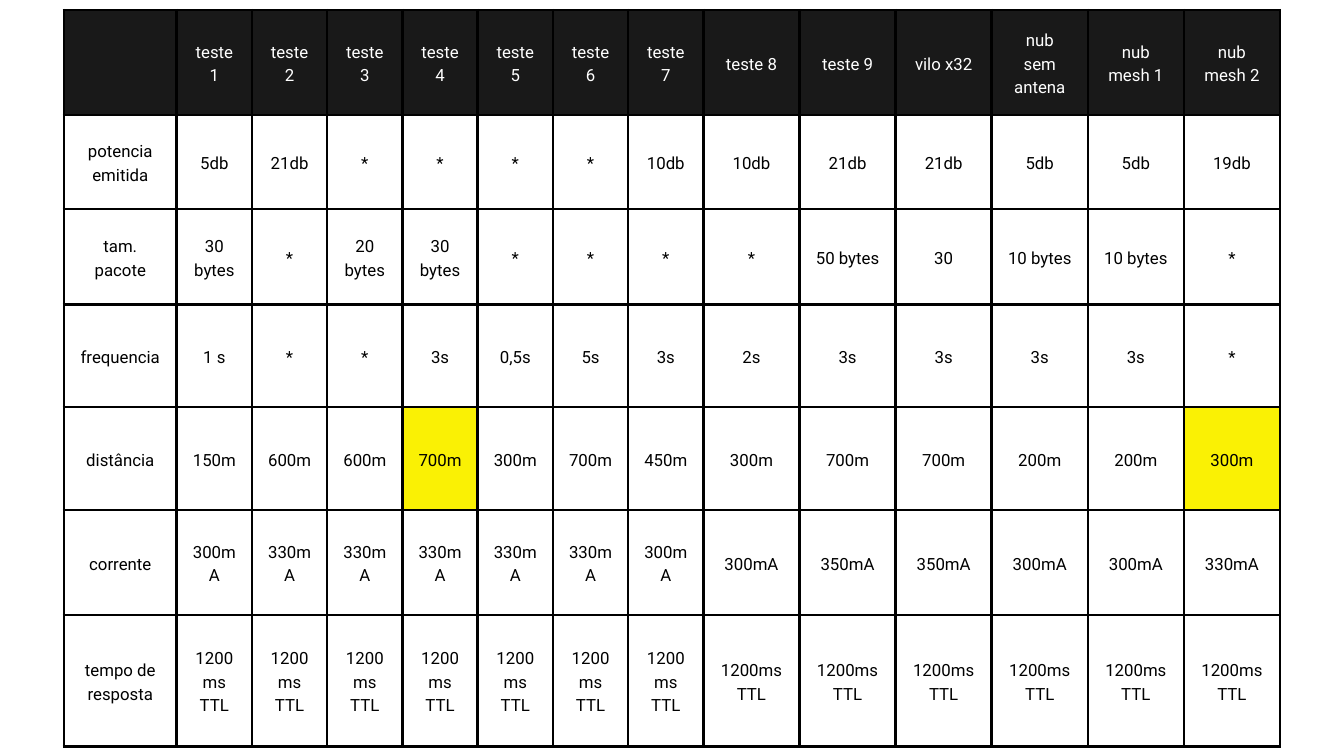
"""Build a one-slide table of radio test results."""
import lxml.etree
import pptx
import pptx.dml.color
import pptx.enum.text
import pptx.oxml.ns
import pptx.util

Inches = pptx.util.Inches
Pt = pptx.util.Pt

COLORS = {"header": "191919", "header_text": "FFFFFF", "text": "000000",
          "border": "000000", "highlight": "FAF104"}

TTL = "1200ms\nTTL"
RESULTS = [
    ["", "teste 1", "teste 2", "teste 3", "teste 4", "teste 5", "teste 6", "teste 7",
     "teste 8", "teste 9", "vilo x32", "nub\nsem antena", "nub mesh 1", "nub mesh 2"],
    ["potencia\nemitida", "5db", "21db", "*", "*", "*", "*", "10db",
     "10db", "21db", "21db", "5db", "5db", "19db"],
    ["tam.\npacote", "30 bytes", "*", "20 bytes", "30 bytes", "*", "*", "*",
     "*", "50 bytes", "30", "10 bytes", "10 bytes", "*"],
    ["frequencia", "1 s", "*", "*", "3s", "0,5s", "5s", "3s",
     "2s", "3s", "3s", "3s", "3s", "*"],
    ["distância", "150m", "600m", "600m", "700m", "300m", "700m", "450m",
     "300m", "700m", "700m", "200m", "200m", "300m"],
    ["corrente", "300mA", "330mA", "330mA", "330mA", "330mA", "330mA", "300mA",
     "300mA", "350mA", "350mA", "300mA", "300mA", "330mA"],
    ["tempo de resposta", "1200 ms TTL", "1200ms TTL"] + [TTL] * 11,
]
HIGHLIGHTS = {(4, 4), (4, 13)}

COLUMN_WIDTHS = [1.68] + [1.12] * 7 + [1.43] * 6
ROW_HEIGHTS = [1.56, 1.4, 1.42, 1.53, 1.53, 1.56, 1.96]
LEFT, TOP = 0.95, 0.15

CELL_FORMAT = {"vertical_anchor": pptx.enum.text.MSO_ANCHOR.MIDDLE,
               "margin_left": Inches(0.21), "margin_right": Inches(0.21),
               "margin_top": Inches(0.21), "margin_bottom": Inches(0.21)}
PARAGRAPH_FORMAT = {"alignment": pptx.enum.text.PP_ALIGN.CENTER, "line_spacing": Pt(25.2)}
FONT_FORMAT = {"name": "Roboto", "size": Pt(18)}


def apply_format(target, values):
    """Set each named value on the target."""
    for name, value in values.items():
        setattr(target, name, value)


def rgb(name):
    """Return the named colour."""
    return pptx.dml.color.RGBColor.from_string(COLORS[name])


def fill_cell(cell, name):
    """Fill the cell with the named colour, or clear it."""
    if name:
        cell.fill.solid()
        cell.fill.fore_color.rgb = rgb(name)
    else:
        cell.fill.background()


def add_borders(cell):
    """Draw a solid line on all four sides of the cell."""
    qn = pptx.oxml.ns.qn
    properties = cell._tc.get_or_add_tcPr()
    for position, side in enumerate(("a:lnL", "a:lnR", "a:lnT", "a:lnB")):
        line = lxml.etree.Element(qn(side), w=str(Pt(3)))
        solid = lxml.etree.SubElement(line, qn("a:solidFill"))
        lxml.etree.SubElement(solid, qn("a:srgbClr"), val=COLORS["border"])
        properties.insert(position, line)


def write_cell(cell, content, text_color):
    """Write the content and format the cell and its text."""
    apply_format(cell, CELL_FORMAT)
    cell.text_frame.text = content
    for paragraph in cell.text_frame.paragraphs:
        apply_format(paragraph, PARAGRAPH_FORMAT)
        for run in paragraph.runs:
            apply_format(run.font, FONT_FORMAT)
            run.font.color.rgb = rgb(text_color)


def main():
    """Build and save the slide."""
    deck = pptx.Presentation()
    apply_format(deck, {"slide_width": Inches(20), "slide_height": Inches(11.25)})
    slide = deck.slides.add_slide(deck.slide_layouts[6])
    results = slide.shapes.add_table(
        len(ROW_HEIGHTS), len(COLUMN_WIDTHS), Inches(LEFT), Inches(TOP),
        Inches(sum(COLUMN_WIDTHS)), Inches(sum(ROW_HEIGHTS))).table
    for column, width in zip(results.columns, COLUMN_WIDTHS):
        column.width = Inches(width)
    for row, height in zip(results.rows, ROW_HEIGHTS):
        row.height = Inches(height)
    apply_format(results, {"first_row": False, "horz_banding": False})

    for row_index, contents in enumerate(RESULTS):
        is_header = row_index == 0
        for column_index, content in enumerate(contents):
            cell = results.cell(row_index, column_index)
            highlighted = (row_index, column_index) in HIGHLIGHTS
            write_cell(cell, content, "header_text" if is_header else "text")
            fill_cell(cell, "header" if is_header else "highlight" if highlighted else None)
            add_borders(cell)

    deck.save("out.pptx")


if __name__ == "__main__":
    main()
